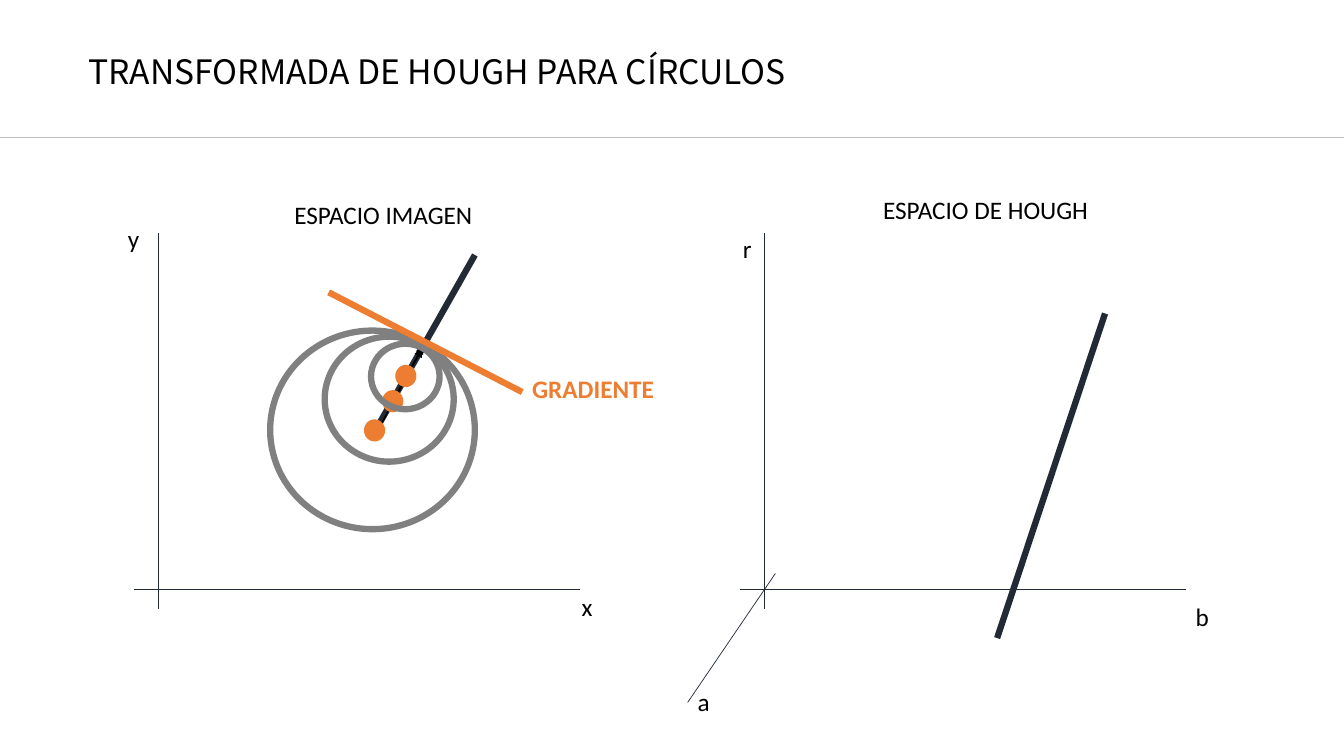
from lxml import etree
from pptx import Presentation
from pptx.dml.color import RGBColor
from pptx.enum.shapes import MSO_CONNECTOR, MSO_SHAPE
from pptx.enum.text import MSO_ANCHOR
from pptx.oxml.ns import qn
from pptx.util import Inches, Pt

STRAIGHT = MSO_CONNECTOR.STRAIGHT
OVAL = MSO_SHAPE.OVAL
TOP, MIDDLE = MSO_ANCHOR.TOP, MSO_ANCHOR.MIDDLE

BLACK = RGBColor(0x00, 0x00, 0x00)
NAVY = RGBColor(0x22, 0x2A, 0x35)
GRAY = RGBColor(0x80, 0x80, 0x80)
LIGHT_GRAY = RGBColor(0xBF, 0xBF, 0xBF)
ORANGE = RGBColor(0xED, 0x7D, 0x31)

THIN, ARROW, THICK = 0.5, 1, 4.5
SLIDE_W, SLIDE_H = 13.33, 7.5


def add_line(s, start, end, color=NAVY, width=THIN, arrow=False):
    points = [Inches(v) for v in (*start, *end)]
    line = s.shapes.add_connector(STRAIGHT, *points)
    line.line.color.rgb = color
    line.line.width = Pt(width)
    sp_pr = line._element.spPr
    if arrow:
        ln = sp_pr.find(qn("a:ln"))
        etree.SubElement(ln, qn("a:tailEnd"), type="triangle")
    etree.SubElement(sp_pr, qn("a:effectLst"))


def add_oval(s, left, top, width, height):
    sp = s.shapes.add_shape(OVAL, Inches(left), Inches(top),
                            Inches(width), Inches(height))
    sp.shadow.inherit = False
    return sp


def add_ring(s, left, top, width, height):
    sp = add_oval(s, left, top, width, height)
    sp.fill.background()
    sp.line.color.rgb = GRAY
    sp.line.width = Pt(THICK)


def add_center(s, left, top):
    sp = add_oval(s, left, top, 0.21, 0.22)
    sp.fill.solid()
    sp.fill.fore_color.rgb = ORANGE
    sp.line.fill.background()


def add_text(s, text, left, top, width, height=0.4, size=18, font="Calibri",
             color=BLACK, bold=False, anchor=TOP, wrap=False):
    box = s.shapes.add_textbox(Inches(left), Inches(top),
                               Inches(width), Inches(height))
    tf = box.text_frame
    tf.word_wrap = wrap
    tf.vertical_anchor = anchor
    p = tf.paragraphs[0]
    r = p.add_run()
    r.text = text
    r.font.size = Pt(size)
    r.font.name = font
    r.font.bold = bold
    r.font.color.rgb = color
    return p


def add_axes(s, x):
    """Vertical axis at x and the horizontal axis that crosses it."""
    add_line(s, (x, 2.31), (x, 6.04))
    add_line(s, (x + 4.18, 5.85), (x - 0.24, 5.85))


def add_header(s):
    p = add_text(s, "TRANSFORMADA DE HOUGH PARA CÍRCULOS", 0.78, 0, 11.5, 1.45,
                 size=24, font="Noto Sans CJK SC", anchor=MIDDLE, wrap=True)
    p.line_spacing = 0.9
    add_line(s, (0, 1.36), (SLIDE_W, 1.36), LIGHT_GRAY)


def add_image_space(s):
    add_text(s, "ESPACIO IMAGEN", 2.82, 1.93, 1.98)
    add_axes(s, 1.57)
    add_text(s, "y", 1.17, 2.17, 0.32)
    add_text(s, "x", 5.67, 5.82, 0.31)

    # Large circle, normal line and candidate centers
    add_ring(s, 2.68, 3.28, 2.03, 1.97)
    add_line(s, (3.69, 4.33), (4.71, 2.53), NAVY, THICK)
    add_center(s, 3.61, 4.16)
    for start, end in (((3.79, 4.19), (4.2, 3.43)),
                       ((3.9, 3.97), (4.21, 3.41))):
        add_line(s, start, end, BLACK, ARROW, arrow=True)
    add_ring(s, 3.22, 3.34, 1.28, 1.24)
    add_line(s, (4.07, 3.66), (4.19, 3.46), BLACK, ARROW, arrow=True)
    add_center(s, 3.92, 3.62)

    # Gradient and smallest circle
    add_line(s, (3.26, 2.9), (5.18, 3.89), ORANGE, THICK)
    add_text(s, "GRADIENTE", 5.18, 3.65, 1.49, color=ORANGE, bold=True,
             wrap=True)
    add_center(s, 3.79, 3.87)
    add_ring(s, 3.68, 3.41, 0.68, 0.65)


def add_hough_space(s):
    add_text(s, "ESPACIO DE HOUGH", 8.66, 1.88, 2.25)
    add_axes(s, 7.58)
    add_line(s, (7.69, 5.69), (6.82, 6.97))
    add_text(s, "r", 7.27, 2.27, 0.29)
    add_text(s, "b", 11.76, 5.92, 0.34)
    add_text(s, "a", 6.82, 6.76, 0.32)
    add_line(s, (9.89, 6.33), (10.96, 3.11), NAVY, THICK)


def main():
    prs = Presentation()
    prs.slide_width, prs.slide_height = Inches(SLIDE_W), Inches(SLIDE_H)
    s = prs.slides.add_slide(prs.slide_layouts[6])
    add_header(s)
    add_image_space(s)
    add_hough_space(s)
    prs.save("out.pptx")


if __name__ == "__main__":
    main()
